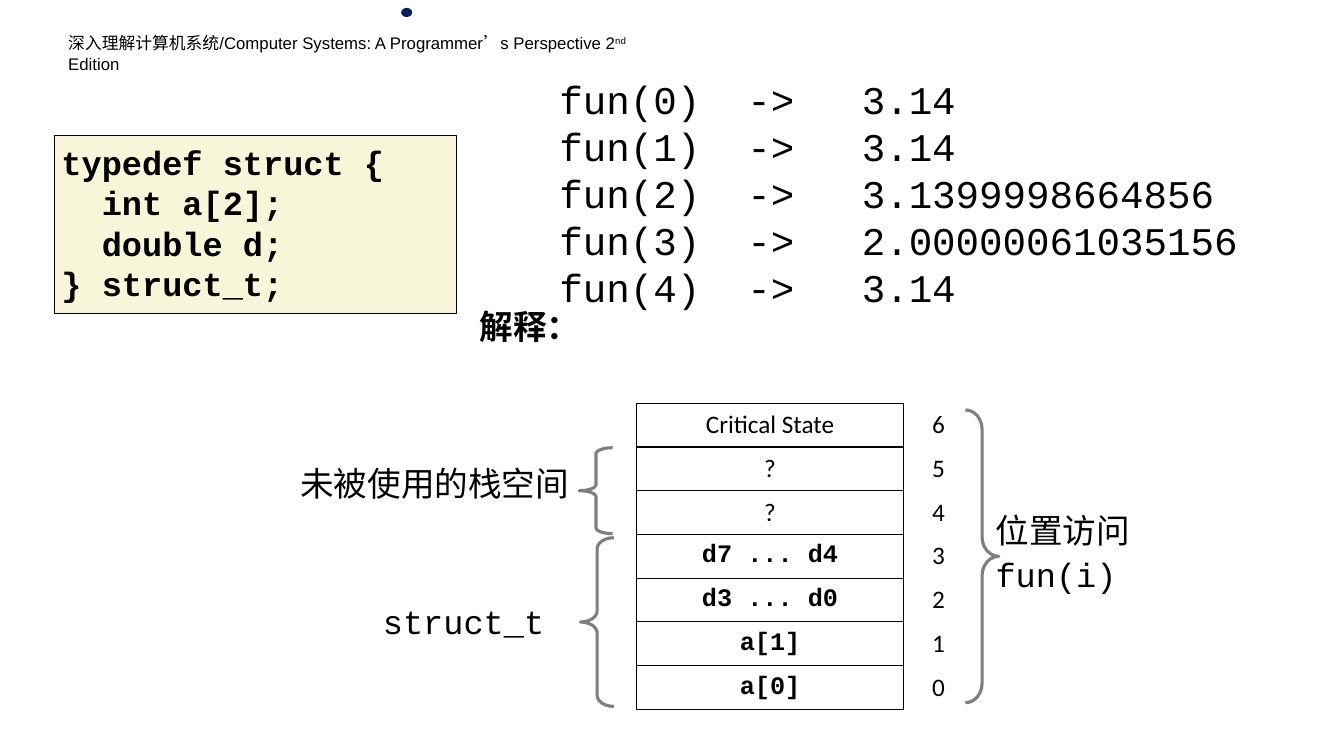
from lxml.etree import SubElement
from pptx import Presentation
from pptx.dml.color import RGBColor
from pptx.enum.shapes import MSO_SHAPE
from pptx.enum.text import MSO_ANCHOR, PP_ALIGN
from pptx.oxml.ns import qn
from pptx.util import Cm, Pt

BLACK = RGBColor(0x00, 0x00, 0x00)
WHITE = RGBColor(0xFF, 0xFF, 0xFF)
NAVY = RGBColor(0x00, 0x20, 0x60)
CREAM = RGBColor(0xF8, 0xF6, 0xD9)
GREY = RGBColor(0x7F, 0x7F, 0x7F)
SANS, BODY, MONO = "Arial", "Calibri", "Courier New"

STRUCT_CODE = ["typedef struct {", "  int a[2];", "  double d;", "} struct_t;"]
FUN_RESULTS = ["3.14", "3.14", "3.1399998664856", "2.00000061035156", "3.14"]
STACK = [("Critical State", BODY), ("?", BODY), ("?", BODY), ("d7 ... d4", MONO),
         ("d3 ... d0", MONO), ("a[1]", MONO), ("a[0]", MONO)]


def style(r, size, name, bold=False):
    r.font.size, r.font.name, r.font.bold = Pt(size), name, bold
    r.font.color.rgb = BLACK


def set_insets(tf, inset):
    tf.margin_left = tf.margin_right = tf.margin_top = tf.margin_bottom = Cm(inset)


def add_shape(s, kind, x, y, w, h, fill=None, line=None, width=1):
    sp = s.shapes.add_shape(kind, Cm(x), Cm(y), Cm(w), Cm(h))
    sp.shadow.inherit = False
    if fill is None:
        sp.fill.background()
    else:
        sp.fill.solid()
        sp.fill.fore_color.rgb = fill
    if line is None:
        sp.line.fill.background()
    else:
        sp.line.color.rgb = line
        sp.line.width = Pt(width)
    return sp


def add_label(s, x, y, w, h, parts, size, bold=False, inset=None, wrap=False):
    """Add a one-paragraph text box; parts is a list of (text, font name)."""
    tf = s.shapes.add_textbox(Cm(x), Cm(y), Cm(w), Cm(h)).text_frame
    tf.word_wrap = wrap
    if inset is not None:
        set_insets(tf, inset)
    p = tf.paragraphs[0]
    for text, name in parts:
        r = p.add_run()
        r.text = text
        style(r, size, name, bold)
    return p


def add_listing(sp, lines, size, bold, inset, tab=None):
    """Fill a shape with left-aligned lines of code, with an optional tab stop."""
    tf = sp.text_frame
    tf.vertical_anchor = MSO_ANCHOR.TOP
    set_insets(tf, inset)
    tf.text = "\n".join(lines)
    for p in tf.paragraphs:
        p.alignment = PP_ALIGN.LEFT
        if tab:
            tabs = SubElement(p._p.get_or_add_pPr(), qn("a:tabLst"))
            SubElement(tabs, qn("a:tab"), pos=str(Cm(tab)), algn="l")
        for r in p.runs:
            style(r, size, name=MONO, bold=bold)


def add_header(s, x, y, w, h):
    add_shape(s, MSO_SHAPE.OVAL, x + 8.64, y - 0.51, 0.28, 0.23, NAVY)
    title = "深入理解计算机系统/Computer Systems: A Programmer’s Perspective 2"
    p = add_label(s, x, y, w, h, [(title, SANS), ("nd", SANS), (" Edition", SANS)],
                  12, wrap=True)
    p.runs[1].font._element.set("baseline", "30000")


def add_struct_code(s, x, y, w, h):
    sp = add_shape(s, MSO_SHAPE.RECTANGLE, x, y, w, h, CREAM, BLACK, 0.5)
    add_listing(sp, STRUCT_CODE, 24, True, 0.18)


def add_results(s, x, y, w, h):
    sp = add_shape(s, MSO_SHAPE.RECTANGLE, x, y, w, h, WHITE)
    lines = [f"fun({i})  ->\t{value}" for i, value in enumerate(FUN_RESULTS)]
    add_listing(sp, lines, 28, False, 0.1, tab=7.62)
    add_label(s, x - 1.91, y + 5.92, 2.59, 1.02, [("解释：", BODY)], 24, True, 0)


def set_borders(cell, sides):
    """Draw black borders on the given sides (L, R, T, B) and none elsewhere."""
    tcPr = cell._tc.get_or_add_tcPr()
    for i, side in enumerate("LRTB"):
        ln = tcPr.makeelement(qn(f"a:ln{side}"), {"w": str(Pt(1))})
        if side in sides:
            fill = SubElement(ln, qn("a:solidFill"))
            SubElement(fill, qn("a:srgbClr"), val=str(BLACK))
        else:
            SubElement(ln, qn("a:noFill"))
        tcPr.insert(i, ln)


def add_stack_table(s, x, y, w, h, index_width):
    table = s.shapes.add_table(len(STACK), 2, Cm(x), Cm(y), Cm(w), Cm(h)).table
    table.first_row = table.horz_banding = False
    table.columns[0].width = Cm(w - index_width)
    table.columns[1].width = Cm(index_width)
    for i, (content, name) in enumerate(STACK):
        table.rows[i].height = Cm(h / len(STACK))
        index = str(len(STACK) - 1 - i)
        columns = [(content, name, "LRTB"), (index, BODY, "L")]
        for j, (text, font, sides) in enumerate(columns):
            cell = table.cell(i, j)
            cell.fill.background()
            cell.vertical_anchor = MSO_ANCHOR.MIDDLE
            set_insets(cell, 0.15)
            cell.text = text
            p = cell.text_frame.paragraphs[0]
            p.alignment = PP_ALIGN.CENTER
            style(p.runs[0], 18, font, font == MONO)
            set_borders(cell, sides)


def add_stack_diagram(s, x, y, w, h):
    """Draw the stack table with the braces and labels on both sides."""
    row = h / len(STACK)
    add_stack_table(s, x, y, w, h, 1.78)
    braces = [(MSO_SHAPE.RIGHT_BRACE, x + 8.28, 0, 7, 0.17, 0.58),
              (MSO_SHAPE.LEFT_BRACE, x - 1.45, 1, 2, 0.02, 0.18),
              (MSO_SHAPE.LEFT_BRACE, x - 1.42, 3, 4, 0.08, 0.33)]
    for kind, left, first, count, gap, curve in braces:
        sp = add_shape(s, kind, left, y + first * row + gap, 0.84,
                       count * row - 2 * gap, line=GREY, width=2.25)
        sp.adjustments[0] = curve
    add_label(s, x - 8.73, y + 1.37, 7.34, 1.27, [("未被使用的栈空间", BODY)], 24)
    add_label(s, x - 6.65, y + 4.85, 4.6, 1.27, [("struct_t", MONO)], 24)
    p = add_label(s, x + 8.94, y + 2.49, 6.22, 1.8,
                  [("位置访问 ", BODY), ("fun(i)", MONO)], 24, inset=0.1, wrap=True)
    p.line_spacing = 1.1


def main():
    prs = Presentation()
    prs.slide_width, prs.slide_height = Cm(33.87), Cm(19.05)
    s = prs.slides.add_slide(prs.slide_layouts[6])
    add_header(s, 1.47, 0.71, 15.95, 0.76)
    add_struct_code(s, 1.37, 3.4, 10.13, 4.5)
    add_results(s, 14, 1.8, 18.54, 6.32)
    add_stack_diagram(s, 16.05, 10.16, 8.49, 7.72)
    prs.save("out.pptx")


if __name__ == "__main__":
    main()
